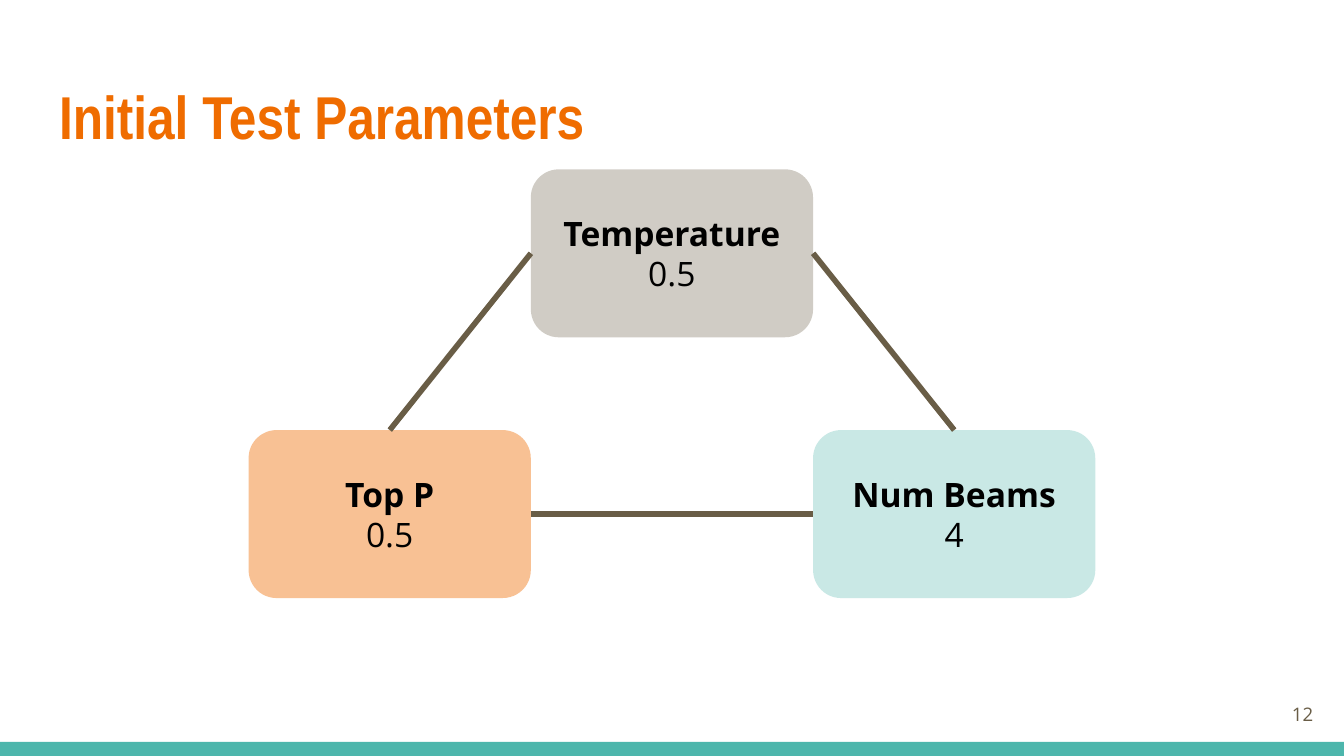
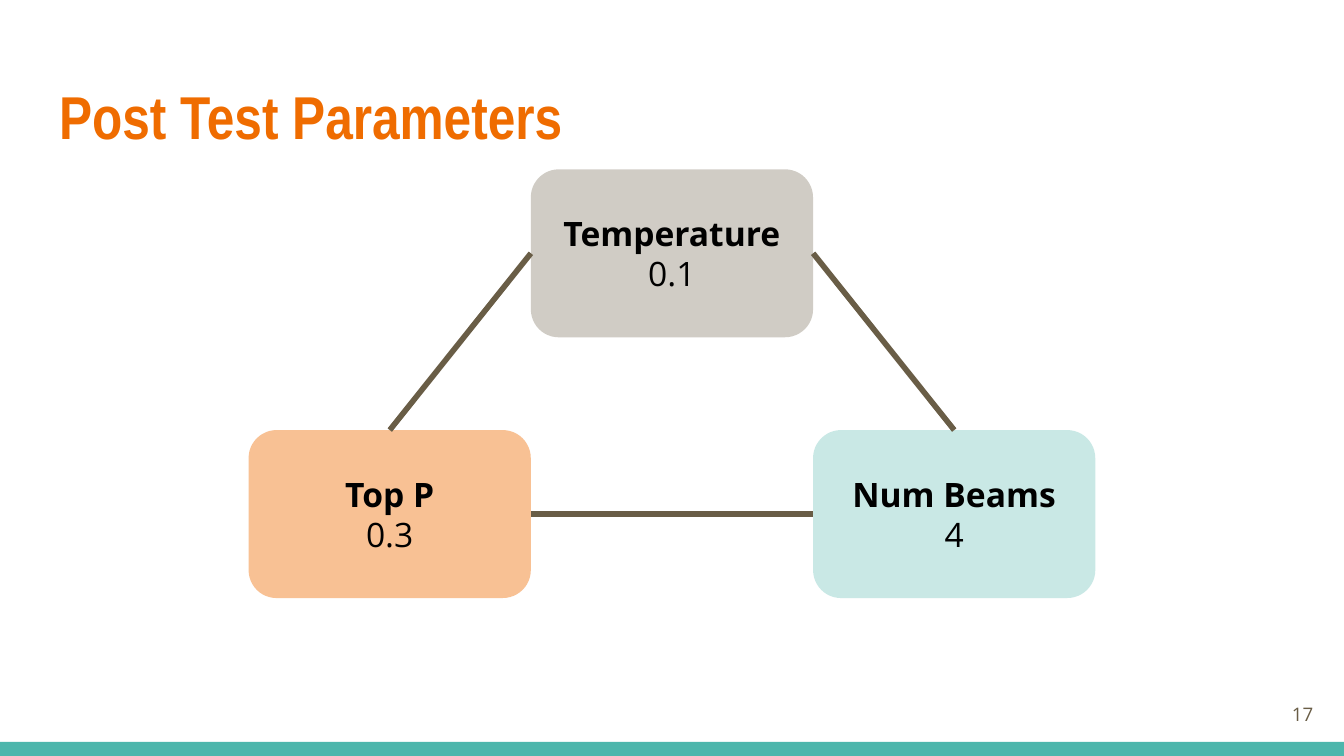
from lxml import etree
from pptx import Presentation
from pptx import util as u
from pptx.dml.color import RGBColor
from pptx.enum import shapes, text
from pptx.oxml.ns import qn

TEAL, ORANGE, BROWN, BLACK = "4DB6AC", "EF6C00", "695D46", "000000"
BODY, HEAD = "Open Sans", "Arial Narrow"
WIDE, HIGH = 2.1, 1.25


def paint(fill, color, alpha=100):
    fill.solid()
    fill.fore_color.rgb = RGBColor.from_string(color)
    if alpha < 100:
        tint = fill._xPr.find(qn("a:solidFill"))[0]
        etree.SubElement(tint, qn("a:alpha"), val=str(alpha * 1000))


def write(shape, runs, align, size, font, color):
    frame = shape.text_frame
    frame.word_wrap = True
    frame.auto_size = text.MSO_AUTO_SIZE.NONE
    frame.vertical_anchor = text.MSO_ANCHOR.MIDDLE
    frame.margin_left = frame.margin_right = u.Inches(0.1)
    frame.margin_top = frame.margin_bottom = u.Inches(0.1)
    for i, (words, bold) in enumerate(runs):
        para = frame.add_paragraph() if i else frame.paragraphs[0]
        para.alignment = align
        run = para.add_run()
        run.text = words
        run.font.size = u.Pt(size)
        run.font.name = font
        run.font.bold = bold
        paint(run.font.fill, color)


nodes = [
    ("Temperature", 3.95, 1.26, BROWN, 31),
    ("Top P", 1.85, 3.2, ORANGE, 42),
    ("Num Beams", 6.05, 3.2, TEAL, 30),
]
links = [
    ("Top P", 0, "Temperature", 1),
    ("Top P", 3, "Num Beams", 1),
    ("Num Beams", 0, "Temperature", 3),
]
pages = [
    ("Initial Test Parameters", "12", ["0.5", "0.5", "4"]),
    ("Post Test Parameters", "17", ["0.1", "0.3", "4"]),
]

deck = Presentation()
deck.slide_width = u.Inches(10)
deck.slide_height = u.Inches(10 * 9 / 16)

for name, number, values in pages:
    slide = deck.slides.add_slide(deck.slide_layouts[5])
    paint(slide.background.fill, "FFFFFF")

    band = slide.shapes.add_shape(
        shapes.MSO_SHAPE.RECTANGLE, 0, u.Inches(5.52), u.Inches(10), u.Inches(0.11))
    band.shadow.inherit = False
    paint(band.fill, TEAL)
    band.line.fill.background()

    title = slide.shapes.title
    title.left, title.top = u.Inches(0.34), u.Inches(0.49)
    title.width, title.height = u.Inches(9.32), u.Inches(0.77)
    write(title, [(name, True)], text.PP_ALIGN.LEFT, 32.4, HEAD, ORANGE)
    title.text_frame.vertical_anchor = text.MSO_ANCHOR.TOP

    foot = slide.shapes.add_textbox(
        u.Inches(9.27), u.Inches(5.1), u.Inches(0.6), u.Inches(0.43))
    write(foot, [(number, False)], text.PP_ALIGN.RIGHT, 10, BODY, BROWN)

    boxes = {}
    for (label, left, top, color, alpha), value in zip(nodes, values):
        box = slide.shapes.add_shape(
            shapes.MSO_SHAPE.ROUNDED_RECTANGLE,
            u.Inches(left), u.Inches(top), u.Inches(WIDE), u.Inches(HIGH))
        box.shadow.inherit = False
        box.adjustments[0] = 1 / 6
        paint(box.fill, color, alpha)
        box.line.fill.background()
        write(box, [(label, True), (value, False)], text.PP_ALIGN.CENTER, 18, BODY, BLACK)
        boxes[label] = box

    for start, side, end, edge in links:
        link = slide.shapes.add_connector(shapes.MSO_CONNECTOR.STRAIGHT, 0, 0, 0, 0)
        link.begin_connect(boxes[start], side)
        link.end_connect(boxes[end], edge)
        link.line.width = u.Pt(3)
        paint(link.line.fill, BROWN)
        etree.SubElement(link._element.spPr, qn("a:effectLst"))

deck.save("out.pptx")
